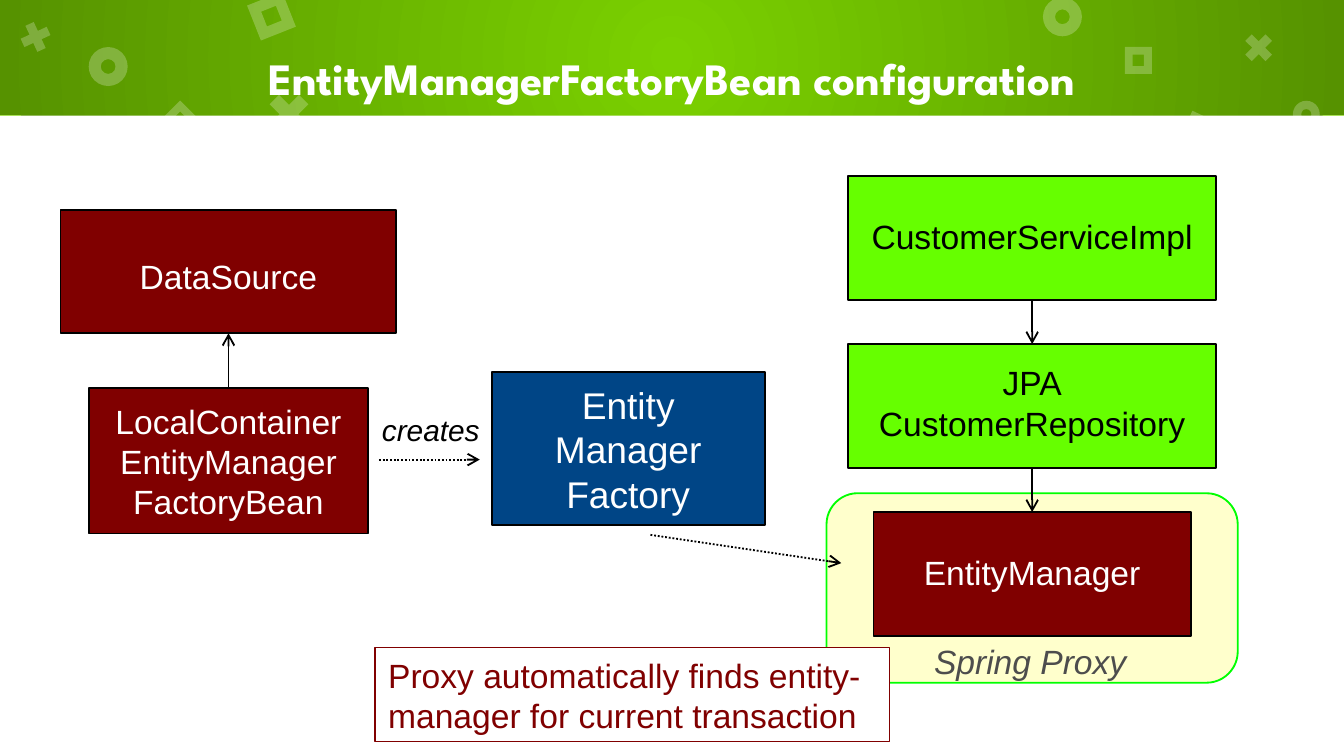
from lxml import etree
from pptx import Presentation
from pptx.dml.color import RGBColor
from pptx.enum.dml import MSO_LINE
from pptx.enum.shapes import MSO_CONNECTOR, MSO_SHAPE
from pptx.enum.text import MSO_ANCHOR, PP_ALIGN
from pptx.oxml import parse_xml
from pptx.oxml.ns import nsdecls, qn
from pptx.util import Inches, Pt

RECT = MSO_SHAPE.RECTANGLE
ROUNDED = MSO_SHAPE.ROUNDED_RECTANGLE
DONUT = MSO_SHAPE.DONUT
CROSS = MSO_SHAPE.MATH_MULTIPLY
FRAME = MSO_SHAPE.FRAME
STRAIGHT = MSO_CONNECTOR.STRAIGHT
DOTTED = MSO_LINE.ROUND_DOT
CENTER, LEFT = PP_ALIGN.CENTER, PP_ALIGN.LEFT
MIDDLE = MSO_ANCHOR.MIDDLE
TOP_SIDE, BOTTOM_SIDE = 0, 2

COLORS = {
    "lime": "7BD100", "olive": "569200", "white": "FFFFFF", "black": "000000",
    "cream": "FFFFCC", "outline": "00FF00", "green": "66FF00",
    "maroon": "800000", "blue": "004586", "gray": "4D4D4D",
}

deck = Presentation()
deck.slide_width = Inches(10)
deck.slide_height = deck.slide_width * 9 // 16
page = deck.slides.add_slide(deck.slide_layouts[6])
shapes = page.shapes
page.background.fill.solid()
page.background.fill.fore_color.rgb = RGBColor.from_string(COLORS["lime"])


def write(box, text, size=18, color="white", font="Arial", bold=False,
          italic=False, align=CENTER, top=0.05, bottom=0.05):
    frame = box.text_frame
    frame.word_wrap = True
    frame.vertical_anchor = MIDDLE
    frame.margin_left = frame.margin_right = Inches(0.1)
    frame.margin_top, frame.margin_bottom = Inches(top), Inches(bottom)
    for index, line in enumerate(text.split("\n")):
        para = frame.add_paragraph() if index else frame.paragraphs[0]
        para.alignment = align
        span = para.add_run()
        span.text = line
        span.font.name, span.font.size = font, Pt(size)
        span.font.bold, span.font.italic = bold, italic
        span.font.color.rgb = RGBColor.from_string(COLORS[color])


def add_block(kind, left, top, width, height, fill, line=None, weight=1):
    block = shapes.add_shape(kind, Inches(left), Inches(top), Inches(width), Inches(height))
    block.shadow.inherit = False
    block.fill.solid()
    block.fill.fore_color.rgb = RGBColor.from_string(COLORS[fill])
    if line:
        block.line.color.rgb = RGBColor.from_string(COLORS[line])
        block.line.width = Pt(weight)
    else:
        block.line.fill.background()
    return block


header = add_block(RECT, 0, 0, 10, 0.86, "lime")
solid = header._element.spPr.find(qn("a:solidFill"))
solid.getparent().replace(solid, parse_xml(
    f'<a:gradFill {nsdecls("a")} rotWithShape="1"><a:gsLst>'
    f'<a:gs pos="0"><a:srgbClr val="{COLORS["lime"]}"/></a:gs>'
    f'<a:gs pos="100000"><a:srgbClr val="{COLORS["olive"]}"/></a:gs></a:gsLst>'
    '<a:path path="circle"><a:fillToRect l="50000" t="50000" r="50000" b="50000"/>'
    '</a:path></a:gradFill>'))
body = add_block(RECT, 0, 0.86, 10, 4.76, "white")
body.height = deck.slide_height - body.top

thickness = {DONUT: 0.31, CROSS: 0.235, FRAME: 0.289}
for kind, left, top, size, angle in [
    (DONUT, 0.66, 0.35, 0.29, 0), (CROSS, 1.94, 0.64, 0.42, 0),
    (FRAME, 1.88, -0.02, 0.28, 338.4), (DONUT, 7.76, -0.02, 0.29, 0),
    (FRAME, 8.8, 0.87, 0.28, 25), (CROSS, 0.12, 0.13, 0.29, 20.4),
    (FRAME, 1.24, 0.79, 0.2, 45), (DONUT, 9.62, 0.75, 0.2, 0),
    (CROSS, 9.22, 0.21, 0.29, 0), (FRAME, 8.37, 0.35, 0.2, 0),
]:
    ornament = add_block(kind, left, top, size, size, "white")
    ornament.rotation = angle
    ornament.adjustments[0] = thickness[kind]
    tint = ornament._element.spPr.find(qn("a:solidFill"))[0]
    etree.SubElement(tint, qn("a:alpha")).set("val", "24000")

title = shapes.add_textbox(Inches(0.95), Inches(0), Inches(8.1), Inches(1.16))
write(title, "EntityManagerFactoryBean configuration", size=24,
      font="League Spartan", bold=True, top=0.1, bottom=0.1)

proxy = add_block(ROUNDED, 6.15, 3.67, 3.06, 1.41, "cream", "outline")
proxy.adjustments[0] = 0.165

blocks = {}
for name, text, left, top, width, height, fill, style in [
    ("service", "CustomerServiceImpl", 6.31, 1.31, 2.74, 0.92, "green",
     {"color": "black", "bottom": 0.08}),
    ("repository", "JPA\nCustomerRepository", 6.31, 2.56, 2.74, 0.92, "green",
     {"color": "black", "bottom": 0.1}),
    ("manager", "EntityManager", 6.5, 3.81, 2.36, 0.92, "maroon", {"bottom": 0.08}),
    ("source", "DataSource", 0.45, 1.56, 2.5, 0.92, "maroon", {"top": 0.12}),
    ("bean", "LocalContainer\nEntityManager\nFactoryBean", 0.66, 2.89, 2.08, 1.08, "maroon", {}),
    ("factory", "Entity Manager Factory", 3.66, 2.77, 2.03, 1.14, "blue", {"size": 19.9}),
]:
    blocks[name] = add_block(RECT, left, top, width, height, fill, "black")
    write(blocks[name], text, **style)

for text, left, top, width, height, style in [
    ("creates", 2.58, 3.01, 1.25, 0.37, {"size": 16, "color": "black"}),
    ("Spring Proxy", 6.04, 4.72, 3.25, 0.4, {"color": "gray"}),
]:
    label = shapes.add_textbox(Inches(left), Inches(top), Inches(width), Inches(height))
    write(label, text, italic=True, **style)

note = add_block(RECT, 2.79, 4.82, 3.83, 0.7, "white", "maroon", 0)
write(note, "Proxy automatically finds entity-manager for current transaction",
      color="maroon", align=LEFT)

for x1, y1, x2, y2, start, end in [
    (7.68, 2.22, 7.68, 2.56, ("service", BOTTOM_SIDE), ("repository", TOP_SIDE)),
    (7.68, 3.47, 7.68, 3.81, ("repository", BOTTOM_SIDE), ("manager", TOP_SIDE)),
    (1.7, 2.89, 1.7, 2.47, ("bean", TOP_SIDE), ("source", BOTTOM_SIDE)),
    (2.82, 3.42, 3.57, 3.42, None, None),
    (4.84, 3.98, 6.26, 4.19, None, None),
]:
    arrow = shapes.add_connector(STRAIGHT, Inches(x1), Inches(y1), Inches(x2), Inches(y2))
    arrow.line.color.rgb = RGBColor.from_string(COLORS["black"])
    arrow.line.width = Pt(1)
    if start:
        arrow.begin_connect(blocks[start[0]], start[1])
        arrow.end_connect(blocks[end[0]], end[1])
    else:
        arrow.line.dash_style = DOTTED
    etree.SubElement(arrow.line._get_or_add_ln(), qn("a:tailEnd")).set("type", "arrow")
    etree.SubElement(arrow._element.spPr, qn("a:effectLst"))

deck.save("out.pptx")
